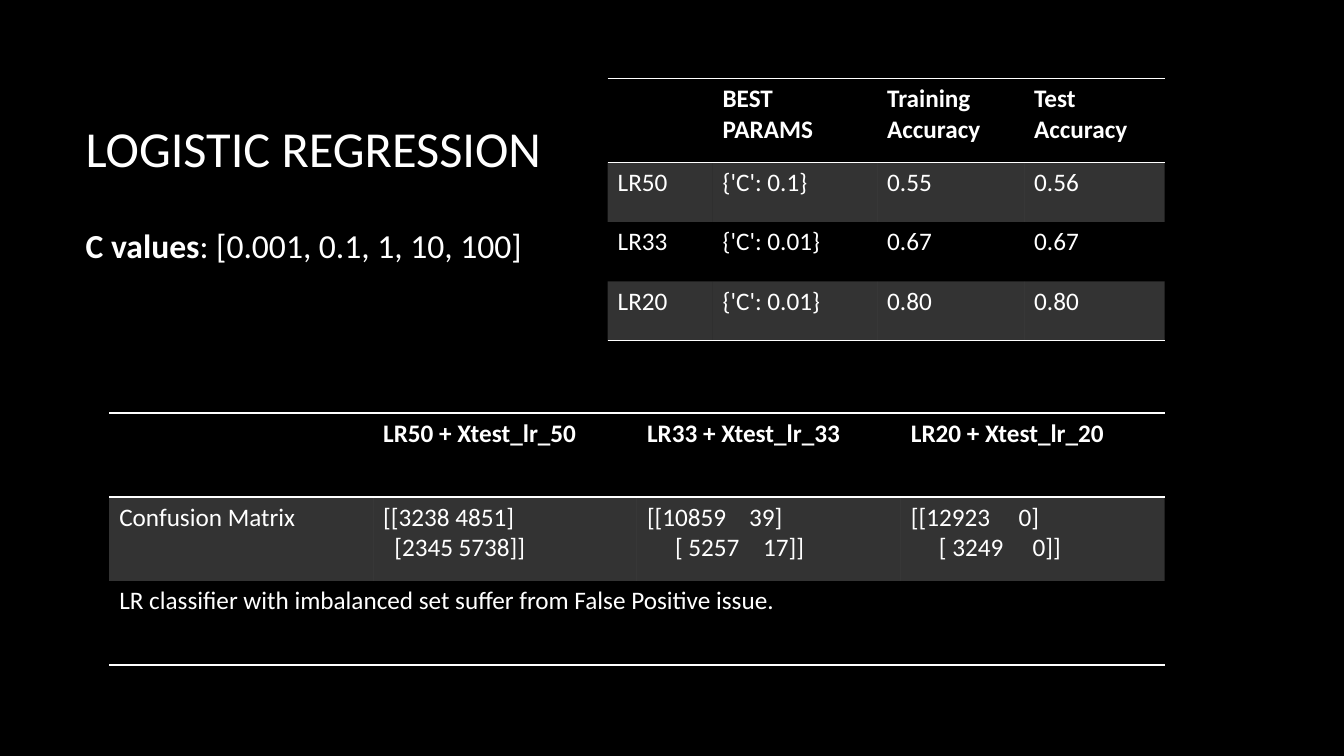
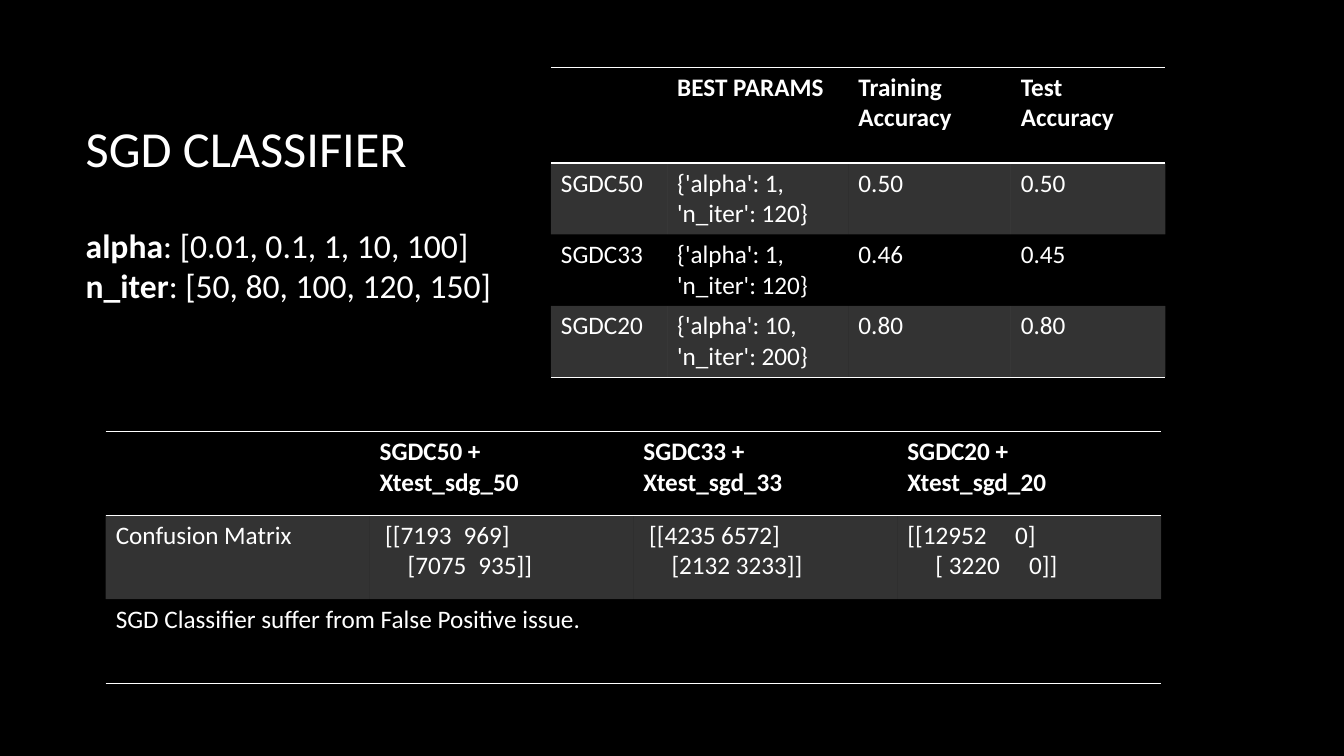
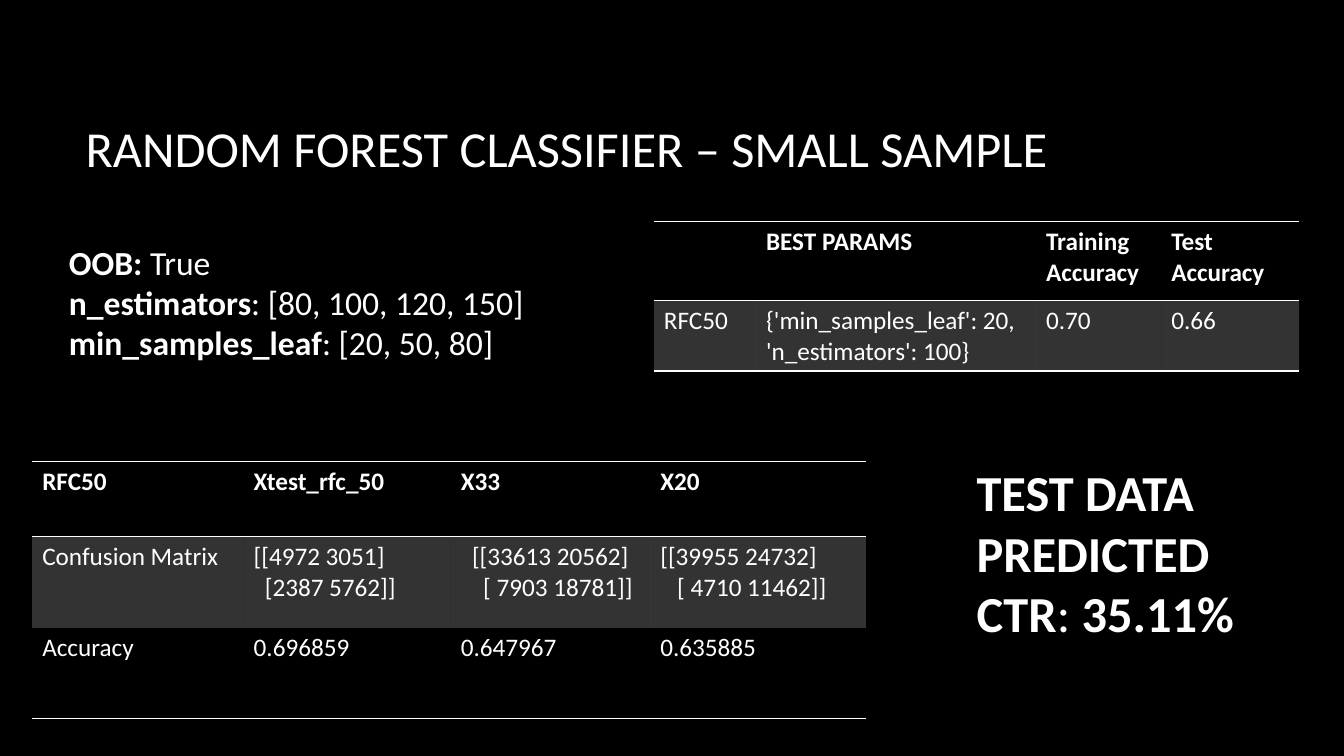
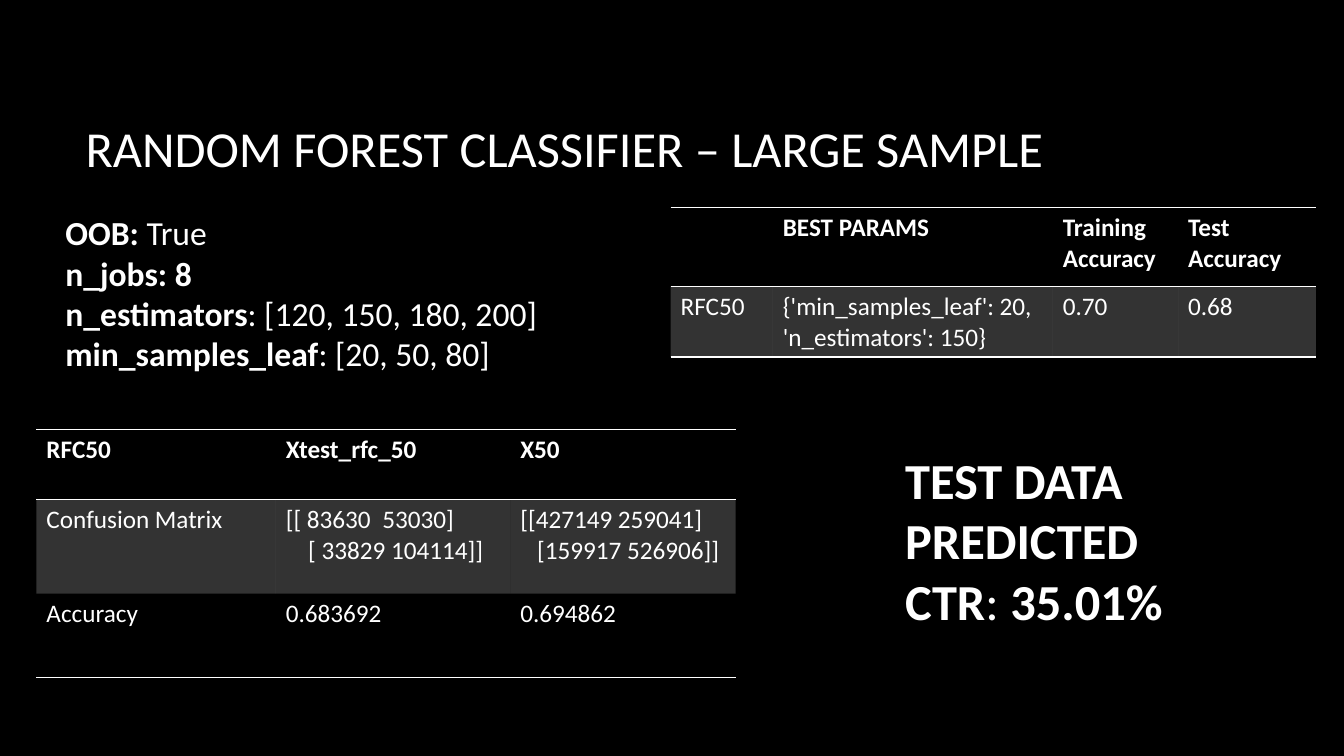
from dataclasses import dataclass
from typing import NamedTuple

from lxml.etree import SubElement
from pptx import Presentation
from pptx.dml.color import RGBColor
from pptx.enum.text import MSO_ANCHOR as Anchor, MSO_AUTO_SIZE as AutoSize, PP_ALIGN as Align
from pptx.oxml.ns import qn
from pptx.util import Pt

# Shared style
BLACK = RGBColor(0x00, 0x00, 0x00)
WHITE = RGBColor(0xFF, 0xFF, 0xFF)
FONT = "Calibri"
TITLE_SIZE, SETTING_SIZE, CELL_SIZE = 36, 24, 18
BAND_ALPHA = 20
RULE_WIDTH = 1
NO_GRID_STYLE = "{2D5ABB26-0587-4C30-8999-92F81FD0307C}"


class Box(NamedTuple):
    left: float
    top: float
    width: float
    height: float


class Span(NamedTuple):
    text: str
    bold: bool = False


class Line(NamedTuple):
    """A line of a cell; its tabs go to the given stops, in points."""
    text: str
    stops: tuple[float, ...] = ()


Para = tuple[Span, ...]
Cell = str | tuple[Line, ...]


@dataclass(frozen=True)
class Grid:
    left: float
    top: float
    widths: tuple[float, ...]
    heights: tuple[float, ...]
    rows: tuple[tuple[Cell, ...], ...]  # a row with one entry spans the table


@dataclass(frozen=True)
class Page:
    title: str
    settings_box: Box
    settings: tuple[Para, ...]
    grids: tuple[Grid, ...]
    rate_box: Box | None = None
    rate: str = ""


TITLE_BOX = Box(54, 48, 798, 114.5)
ACCURACY_HEADER = ("", "BEST PARAMS", "Training Accuracy", "Test Accuracy")
FOREST_WIDTHS, FOREST_HEIGHTS = (73, 200, 89.5, 98.5), (56.5, 50.5)
MATRIX_WIDTHS, MATRIX_HEIGHTS = (188.5,) * 4, (60,) * 3


def setting(name: str, value: str) -> Para:
    return Span(name, True), Span(value)


PAGES = (
    Page(
        "LOGISTIC REGRESSION",
        Box(54, 157, 331, 36),
        (setting("C values", ": [0.001, 0.1, 1, 10, 100]"),),
        (
            Grid(434, 56, (75, 117.5, 105, 100.5), (60, 42.5, 42.5, 42.5), (
                ACCURACY_HEADER,
                ("LR50", "{'C': 0.1}", "0.55", "0.56"),
                ("LR33", "{'C': 0.01}", "0.67", "0.67"),
                ("LR20", "{'C': 0.01}", "0.80", "0.80"),
            )),
            Grid(78, 295, MATRIX_WIDTHS, MATRIX_HEIGHTS, (
                ("", "LR50 + Xtest_lr_50", "LR33 + Xtest_lr_33", "LR20 + Xtest_lr_20"),
                ("Confusion Matrix",
                 (Line("[[3238 4851]"), Line("\t[2345 5738]]", (8,))),
                 (Line("[[10859\t39]", (73,)), Line("\t[ 5257\t17]]", (20, 83))),
                 (Line("[[12923\t0]", (77,)), Line("\t[ 3249\t0]]", (20, 87)))),
                ("LR classifier with imbalanced set suffer from False Positive issue.",),
            )),
        ),
    ),
    Page(
        "SGD CLASSIFIER",
        Box(54, 157, 331, 65.5),
        (setting("alpha", ": [0.01, 0.1, 1, 10, 100]"),
         setting("n_iter", ": [50, 80, 100, 120, 150]")),
        (
            Grid(393.5, 48, (83, 129.5, 116, 110.5), (68.5, 51, 51, 51), (
                ACCURACY_HEADER,
                ("SGDC50", "{'alpha': 1, 'n_iter': 120}", "0.50", "0.50"),
                ("SGDC33", "{'alpha': 1, 'n_iter': 120}", "0.46", "0.45"),
                ("SGDC20", "{'alpha': 10, 'n_iter': 200}", "0.80", "0.80"),
            )),
            Grid(75.5, 308, MATRIX_WIDTHS, MATRIX_HEIGHTS, (
                ("", "SGDC50 + Xtest_sdg_50", "SGDC33 + Xtest_sgd_33", "SGDC20 + Xtest_sgd_20"),
                ("Confusion Matrix",
                 (Line("\t[[7193\t969]", (4, 60)), Line("\t[7075\t935]]", (20, 70.5))),
                 (Line("\t[[4235 6572]", (4,)), Line("\t[2132 3233]]", (20,))),
                 (Line("[[12952\t0]", (77,)), Line("\t[ 3220\t0]]", (20, 87)))),
                ("SGD Classifier suffer from False Positive issue.",),
            )),
        ),
    ),
    Page(
        "RANDOM FOREST CLASSIFIER – SMALL SAMPLE",
        Box(42, 169, 376, 94.5),
        (setting("OOB: ", "True"),
         setting("n_estimators", ": [80, 100, 120, 150]"),
         setting("min_samples_leaf", ": [20, 50, 80]")),
        (
            Grid(467, 158, FOREST_WIDTHS, FOREST_HEIGHTS, (
                ACCURACY_HEADER,
                ("RFC50", "{'min_samples_leaf': 20, 'n_estimators': 100}", "0.70", "0.66"),
            )),
            Grid(23, 329.5, (151, 148, 142.5, 154), (54, 65, 65), (
                ("RFC50", "Xtest_rfc_50", "X33", "X20"),
                ("Confusion Matrix",
                 (Line("[[4972 3051]"), Line("\t[2387 5762]]", (8,))),
                 (Line("\t[[33613 20562]", (8,)), Line("\t[ 7903 18781]]", (16,))),
                 (Line("[[39955 24732]"), Line("\t[ 4710 11462]]", (12,)))),
                ("Accuracy", "0.696859", "0.647967", "0.635885"),
            )),
        ),
        Box(690.5, 326, 222, 138),
        "35.11%",
    ),
    Page(
        "RANDOM FOREST CLASSIFIER – LARGE SAMPLE",
        Box(39.5, 148, 408, 124),
        (setting("OOB: ", "True"),
         (Span("n_jobs: 8", True),),
         setting("n_estimators", ": [120, 150, 180, 200]"),
         setting("min_samples_leaf", ": [20, 50, 80]")),
        (
            Grid(479, 148, FOREST_WIDTHS, FOREST_HEIGHTS, (
                ACCURACY_HEADER,
                ("RFC50", "{'min_samples_leaf': 20, 'n_estimators': 150}", "0.70", "0.68"),
            )),
            Grid(26, 307, (171, 167.5, 161), (50, 67, 60), (
                ("RFC50", "Xtest_rfc_50", "X50"),
                ("Confusion Matrix",
                 (Line("[[ 83630\t53030]", (69,)), Line("\t[ 33829 104114]]", (16,))),
                 (Line("[[427149 259041]"), Line("\t[159917 526906]]", (12,)))),
                ("Accuracy", "0.683692", "0.694862"),
            )),
        ),
        Box(639.5, 317, 222, 138),
        "35.01%",
    ),
)


# Text
def place(shape, box: Box) -> None:
    shape.left, shape.top, shape.width, shape.height = map(Pt, box)


def add_span(para, span: Span, size: float) -> None:
    run = para.add_run()
    run.text = span.text
    font = run.font
    font.name, font.size, font.bold = FONT, Pt(size), span.bold
    font.color.rgb = WHITE


def next_para(frame, index: int):
    return frame.paragraphs[0] if index == 0 else frame.add_paragraph()


def fill_text(shape, box: Box, paras: tuple[Para, ...], size: float) -> None:
    """Place a shape and write plain left-aligned paragraphs into it."""
    place(shape, box)
    frame = shape.text_frame
    frame.word_wrap = True
    frame.auto_size = AutoSize.SHAPE_TO_FIT_TEXT
    for index, spans in enumerate(paras):
        para = next_para(frame, index)
        para.alignment = Align.LEFT
        para.space_before = Pt(0)
        properties = para._p.get_or_add_pPr()
        properties.set("marL", "0")
        properties.set("indent", "0")
        SubElement(properties, qn("a:buNone"))
        for span in spans:
            add_span(para, span, size)


def add_title(slide, text: str) -> None:
    title = slide.shapes.title
    place(title, TITLE_BOX)
    title.text_frame.vertical_anchor = Anchor.MIDDLE
    para = title.text_frame.paragraphs[0]
    para.alignment = Align.LEFT
    add_span(para, Span(text), TITLE_SIZE)


# Tables
def set_tab_stops(para, stops: tuple[float, ...]) -> None:
    tab_list = SubElement(para._p.get_or_add_pPr(), qn("a:tabLst"))
    for stop in stops:
        SubElement(tab_list, qn("a:tab"), pos=str(Pt(stop)), algn="l")


def write_cell(cell, content: Cell, bold: bool) -> None:
    lines = (Line(content),) if isinstance(content, str) else content
    for index, line in enumerate(lines):
        para = next_para(cell.text_frame, index)
        if line.stops:
            set_tab_stops(para, line.stops)
        if line.text:
            add_span(para, Span(line.text, bold), CELL_SIZE)


def style_cell(cell, banded: bool, sides: tuple[str, ...]) -> None:
    """Rule the given sides, then give the cell its band or no fill."""
    properties = cell._tc.get_or_add_tcPr()
    for side in sides:
        rule = SubElement(properties, qn(f"a:{side}"), w=str(Pt(RULE_WIDTH)))
        SubElement(SubElement(rule, qn("a:solidFill")), qn("a:srgbClr"), val=str(WHITE))
    if banded:
        cell.fill.solid()
        cell.fill.fore_color.rgb = WHITE
        color = properties.find(f"{qn('a:solidFill')}/{qn('a:srgbClr')}")
        SubElement(color, qn("a:alpha"), val=str(BAND_ALPHA * 1000))
    else:
        cell.fill.background()


def add_grid(slide, grid: Grid) -> None:
    row_count, column_count = len(grid.heights), len(grid.widths)
    box = Box(grid.left, grid.top, sum(grid.widths), sum(grid.heights))
    table = slide.shapes.add_table(row_count, column_count, *map(Pt, box)).table
    table.first_row = table.horz_banding = False
    table._tbl.tblPr.find(qn("a:tableStyleId")).text = NO_GRID_STYLE
    for column, width in zip(table.columns, grid.widths):
        column.width = Pt(width)
    for row_index, (height, contents) in enumerate(zip(grid.heights, grid.rows)):
        table.rows[row_index].height = Pt(height)
        is_header = row_index == 0
        is_last = row_index == row_count - 1
        sides = ("lnT", "lnB") if is_header else ("lnB",) if is_last else ()
        for column_index in range(column_count):
            style_cell(table.cell(row_index, column_index), row_index % 2 == 1, sides)
        if len(contents) == 1:
            table.cell(row_index, 0).merge(table.cell(row_index, column_count - 1))
        for column_index, content in enumerate(contents):
            write_cell(table.cell(row_index, column_index), content, is_header)


# Slides
def add_page(deck, page: Page) -> None:
    slide = deck.slides.add_slide(deck.slide_layouts[1])
    add_title(slide, page.title)
    fill_text(slide.placeholders[1], page.settings_box, page.settings, SETTING_SIZE)
    for grid in page.grids:
        add_grid(slide, grid)
    if page.rate_box:
        rate_paras = (
            (Span("TEST DATA", True),),
            (Span("PREDICTED CTR", True), Span(": "), Span(page.rate, True)),
        )
        rate = slide.shapes.add_textbox(*map(Pt, page.rate_box))
        fill_text(rate, page.rate_box, rate_paras, TITLE_SIZE)


def main() -> None:
    deck = Presentation()
    deck.slide_width, deck.slide_height = Pt(960), Pt(540)
    background = deck.slide_master.background.fill
    background.solid()
    background.fore_color.rgb = BLACK
    for page in PAGES:
        add_page(deck, page)
    deck.save("out.pptx")


if __name__ == "__main__":
    main()
